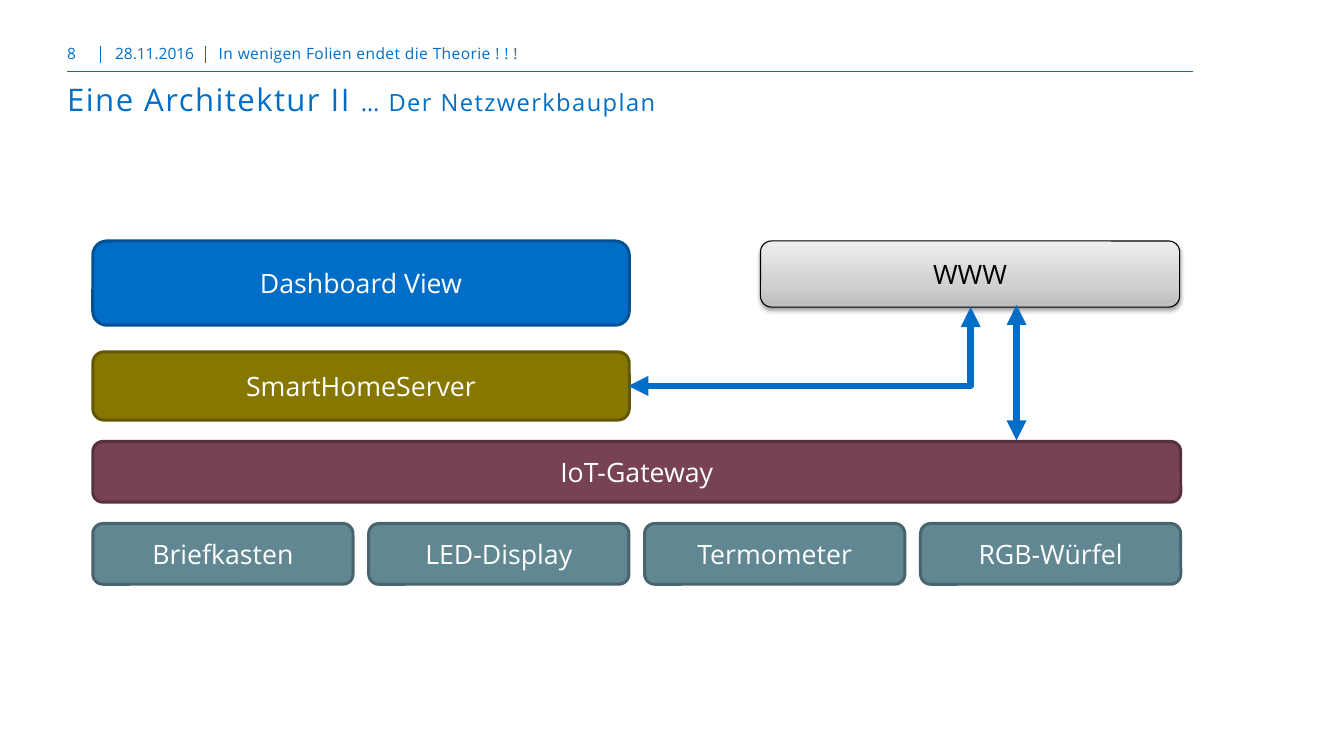
from lxml.etree import SubElement
from pptx import Presentation
from pptx.dml.color import RGBColor
from pptx.enum.shapes import MSO_CONNECTOR, MSO_SHAPE
from pptx.enum.text import MSO_ANCHOR, PP_ALIGN
from pptx.oxml.ns import qn
from pptx.util import Inches, Pt

BLUE = RGBColor(0x00, 0x6E, 0xC7)
SEPARATOR = RGBColor(0x00, 0x6C, 0xC3)
DARK_BLUE = RGBColor(0x00, 0x51, 0x93)
OLIVE = RGBColor(0x85, 0x77, 0x00)
DARK_OLIVE = RGBColor(0x62, 0x58, 0x00)
WINE = RGBColor(0x77, 0x42, 0x51)
DARK_WINE = RGBColor(0x58, 0x31, 0x3C)
TEAL = RGBColor(0x61, 0x87, 0x92)
DARK_TEAL = RGBColor(0x48, 0x64, 0x6C)
WHITE = RGBColor(0xFF, 0xFF, 0xFF)
BLACK = RGBColor(0x00, 0x00, 0x00)
GREY_STOPS = [
    (0, RGBColor(0xBD, 0xBD, 0xBD)),
    (35, RGBColor(0xD1, 0xD1, 0xD1)),
    (100, RGBColor(0xEE, 0xEE, 0xEE)),
]


class SlideBuilder:
    """Holds the text style and the page being drawn."""

    def __init__(self, page, font="Open Sans"):
        self.page = page
        self.font = font

    def span(self, para, text, size, color, spacing=0):
        span = para.add_run()
        span.text = text
        span.font.name = self.font
        span.font.size = Pt(size)
        span.font.color.rgb = color
        if spacing:
            span.font._element.set("spc", str(round(spacing * 100)))

    def text(self, left, top, width, height, spans, inset=0.02, align=PP_ALIGN.LEFT):
        box = self.page.shapes.add_textbox(
            Inches(left), Inches(top), Inches(width), Inches(height))
        frame = box.text_frame
        frame.word_wrap = True
        frame.margin_left = frame.margin_right = frame.margin_bottom = 0
        frame.margin_top = Inches(inset)
        para = frame.paragraphs[0]
        para.alignment = align
        for text, size, spacing in spans:
            self.span(para, text, size, BLUE, spacing)

    def box(self, left, top, width, height, label, fill, border,
            weight=2, color=WHITE):
        box = self.page.shapes.add_shape(
            MSO_SHAPE.ROUNDED_RECTANGLE,
            Inches(left), Inches(top), Inches(width), Inches(height))
        box.shadow.inherit = False
        if isinstance(fill, list):
            self.gradient(box, fill)
        else:
            box.fill.solid()
            box.fill.fore_color.rgb = fill
        box.line.color.rgb = border
        box.line.width = Pt(weight)
        frame = box.text_frame
        frame.word_wrap = True
        frame.vertical_anchor = MSO_ANCHOR.MIDDLE
        para = frame.paragraphs[0]
        para.alignment = PP_ALIGN.CENTER
        self.span(para, label, 18, color)
        return box

    def gradient(self, box, stops):
        box.fill.gradient()
        box.fill.gradient_angle = 90
        stop_list = box._element.spPr.find(qn("a:gradFill")).find(qn("a:gsLst"))
        for stop in list(stop_list):
            stop_list.remove(stop)
        for position, color in stops:
            stop = SubElement(stop_list, qn("a:gs"), pos=str(position * 1000))
            SubElement(stop, qn("a:srgbClr"), val=str(color))

    def drop_shadow(self, box):
        effects = box._element.spPr.find(qn("a:effectLst"))
        shadow = SubElement(
            effects, qn("a:outerShdw"), blurRad=str(Pt(3.1)), dist=str(Pt(1.6)),
            dir="5400000", rotWithShape="0")
        color = SubElement(shadow, qn("a:srgbClr"), val=str(BLACK))
        SubElement(color, qn("a:alpha"), val="38000")

    def line(self, start, end, color, weight, kind=MSO_CONNECTOR.STRAIGHT,
             arrows=False):
        line = self.page.shapes.add_connector(
            kind, *(Inches(value) for value in (*start, *end)))
        line.line.color.rgb = color
        line.line.width = Pt(weight)
        if arrows:
            outline = line.line._get_or_add_ln()
            for name in ("a:headEnd", "a:tailEnd"):
                SubElement(outline, qn(name), type="triangle")
        SubElement(line._element.spPr, qn("a:effectLst"))
        return line

    def corner_arrow(self, start, end, color, weight):
        """Runs down from start, then left to end, as a quarter-turned elbow."""
        (x1, y1), (x2, y2) = start, end
        middle_x, middle_y = (x1 + x2) / 2, (y1 + y2) / 2
        half_width, half_height = abs(y2 - y1) / 2, abs(x2 - x1) / 2
        elbow = self.line(
            (middle_x - half_width, middle_y - half_height),
            (middle_x + half_width, middle_y + half_height),
            color, weight, MSO_CONNECTOR.ELBOW, arrows=True)
        properties = elbow._element.spPr
        properties.find(qn("a:xfrm")).set("rot", "5400000")
        properties.find(qn("a:prstGeom")).set("prst", "bentConnector2")


def main():
    deck = Presentation()
    deck.slide_width, deck.slide_height = Inches(12.6), Inches(7.09)
    builder = SlideBuilder(deck.slides.add_slide(deck.slide_layouts[6]))

    # Header with rule and separators
    builder.line((0.63, 0.67), (11.18, 0.67), BLUE, 1)
    for x in (0.94, 1.93):
        builder.line((x, 0.43), (x, 0.59), SEPARATOR, 0.75)
    builder.text(0.63, 0.39, 0.31, 0.24, [("8", 10.5, 0)])
    builder.text(1, 0.39, 0.9, 0.24, [("28.11.2016", 10.5, 0)],
                 align=PP_ALIGN.CENTER)
    builder.text(2.05, 0.39, 9.13, 0.24,
                 [("In wenigen Folien endet die Theorie ! ! !", 10.5, 0.3)])

    # Title
    builder.text(0.63, 0.71, 10.55, 0.76,
                 [("Eine Architektur II ", 21, 1),
                  ("… Der Netzwerkbauplan", 16, 1)], inset=0.04)

    # Architecture layers
    left = 0.87
    builder.box(left, 2.26, 5.03, 0.79, "Dashboard View", BLUE, DARK_BLUE)
    builder.box(left, 3.3, 5.03, 0.64, "SmartHomeServer", OLIVE, DARK_OLIVE)
    builder.box(left, 4.14, 10.2, 0.57, "IoT-Gateway", WINE, DARK_WINE)

    # Devices, evenly spread under the gateway
    devices = ("Briefkasten", "LED-Display", "Termometer", "RGB-Würfel")
    width = 2.44
    pitch = (10.2 - width) / (len(devices) - 1)
    for index, device in enumerate(devices):
        builder.box(left + index * pitch, 4.91, width, 0.57, device,
                    TEAL, DARK_TEAL)

    # Web and its links
    web = builder.box(7.13, 2.26, 3.93, 0.62, "WWW", GREY_STOPS, BLACK,
                      weight=0.75, color=BLACK)
    builder.drop_shadow(web)
    builder.line((9.53, 2.86), (9.53, 4.13), BLUE, 4.5, arrows=True)
    builder.corner_arrow((9.1, 2.88), (5.89, 3.62), BLUE, 4.5)

    deck.save("out.pptx")


if __name__ == "__main__":
    main()
